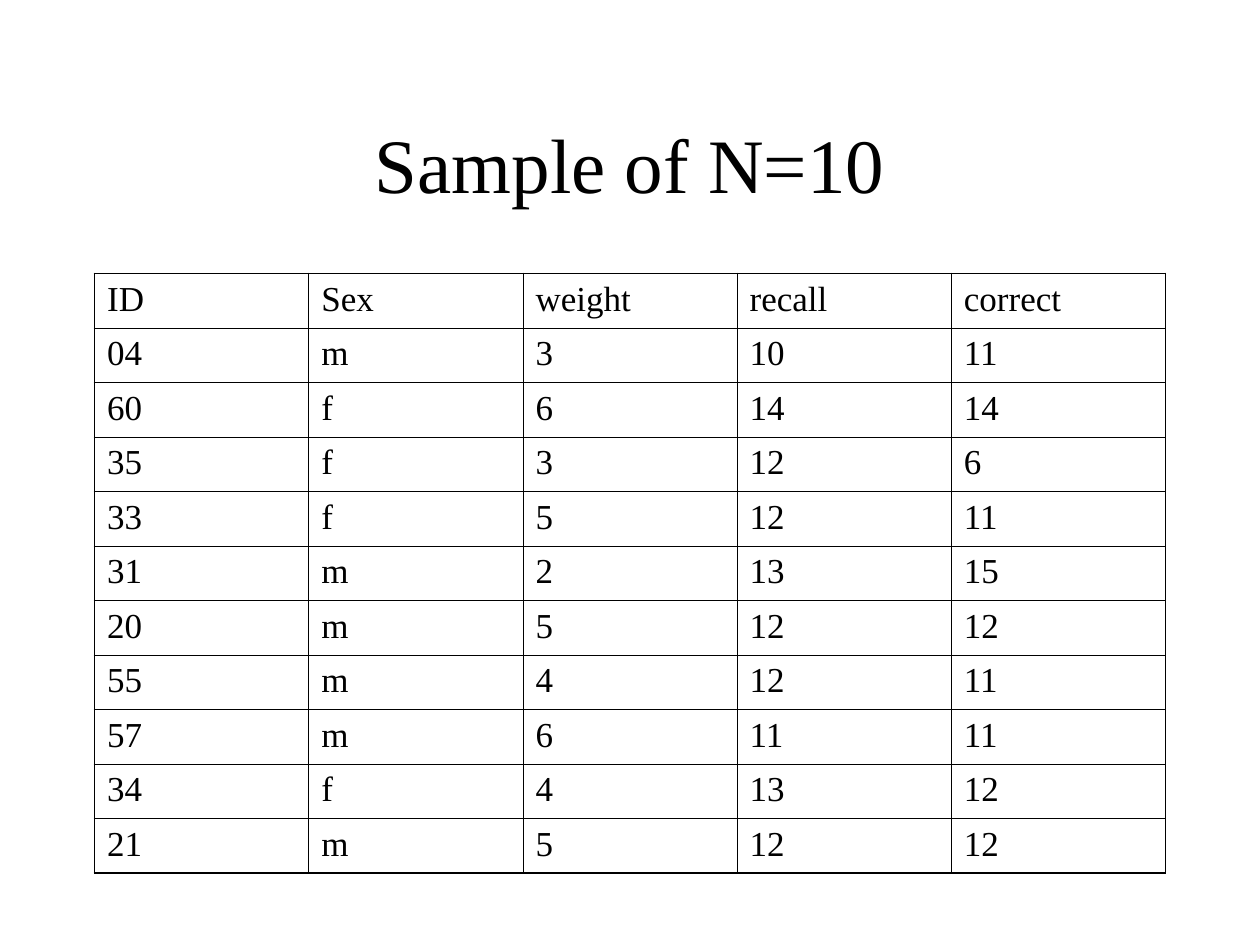
from lxml.etree import SubElement
from pptx import Presentation
from pptx.dml.color import RGBColor
from pptx.enum.text import MSO_ANCHOR as Anchor, PP_ALIGN as Align
from pptx.oxml.ns import qn
from pptx.util import Inches, Pt

FONT = "Times New Roman"
INK = "000000"
OUTER, INNER = 1.08, 0.45
HEADERS = ["ID", "Sex", "weight", "recall", "correct"]
SAMPLE = [
    ["04", "m", "3", "10", "11"],
    ["60", "f", "6", "14", "14"],
    ["35", "f", "3", "12", "6"],
    ["33", "f", "5", "12", "11"],
    ["31", "m", "2", "13", "15"],
    ["20", "m", "5", "12", "12"],
    ["55", "m", "4", "12", "11"],
    ["57", "m", "6", "11", "11"],
    ["34", "f", "4", "13", "12"],
    ["21", "m", "5", "12", "12"],
]


def add_run(paragraph, text, size):
    """Add one run in the slide's font and ink colour."""
    run = paragraph.add_run()
    run.text = text
    run.font.name = FONT
    run.font.size = Pt(size)
    run.font.color.rgb = RGBColor.from_string(INK)


def add_title(slide, text):
    """Place and fill the title placeholder."""
    title = slide.shapes.title
    title.left, title.top = Inches(0.75), Inches(0.67)
    title.width, title.height = Inches(8.5), Inches(1.25)
    frame = title.text_frame
    frame.word_wrap = True
    frame.vertical_anchor = Anchor.MIDDLE
    heading = frame.paragraphs[0]
    heading.alignment = Align.CENTER
    add_run(heading, text, 44)


def set_borders(cell, widths):
    """Draw the borders of a cell from a side-to-points mapping."""
    properties = cell._tc.get_or_add_tcPr()
    for side, width in widths.items():
        border = SubElement(properties, qn(f"a:ln{side}"), w=str(int(Pt(width))))
        fill = SubElement(border, qn("a:solidFill"))
        SubElement(fill, qn("a:srgbClr"), val=INK)


def add_sample_table(slide, rows):
    """Add a plain ruled table with a heavier outer frame."""
    last_row, last_col = len(rows) - 1, len(rows[0]) - 1
    table = slide.shapes.add_table(
        len(rows), len(rows[0]),
        Inches(0.75), Inches(2.17), Inches(8.5), Inches(4.76),
    ).table
    table.first_row = table.horz_banding = False
    for r, values in enumerate(rows):
        for c, value in enumerate(values):
            cell = table.cell(r, c)
            add_run(cell.text_frame.paragraphs[0], value, 20)
            set_borders(cell, {
                "L": OUTER if c == 0 else INNER,
                "R": OUTER if c == last_col else INNER,
                "T": OUTER if r == 0 else INNER,
                "B": OUTER if r == last_row else INNER,
            })
            cell.fill.background()


def main():
    """Build and save the slide."""
    deck = Presentation()
    deck.slide_width, deck.slide_height = Inches(10), Inches(7.5)
    slide = deck.slides.add_slide(deck.slide_layouts[5])
    add_title(slide, "Sample of N=10")
    add_sample_table(slide, [HEADERS] + SAMPLE)
    deck.save("out.pptx")


if __name__ == "__main__":
    main()
